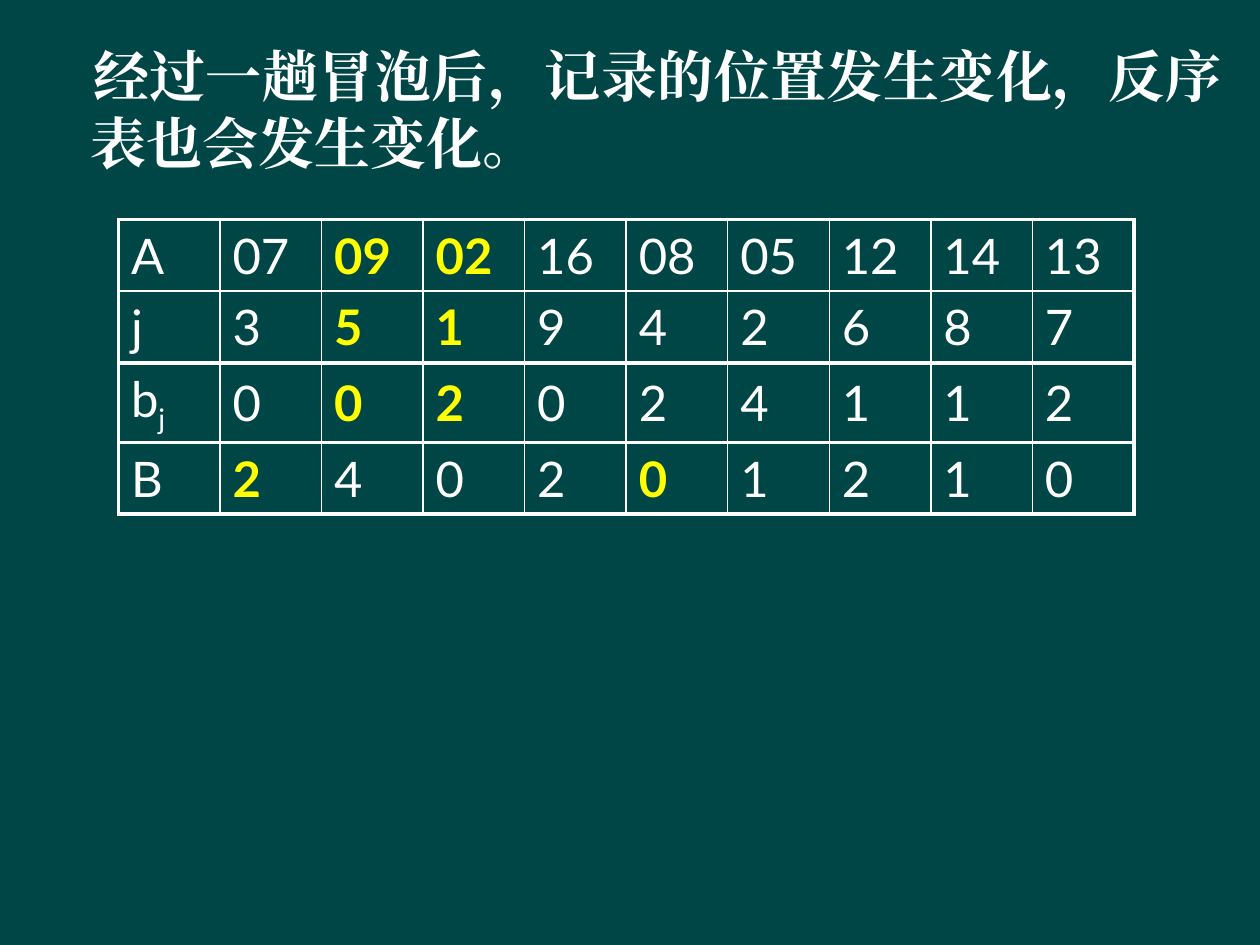
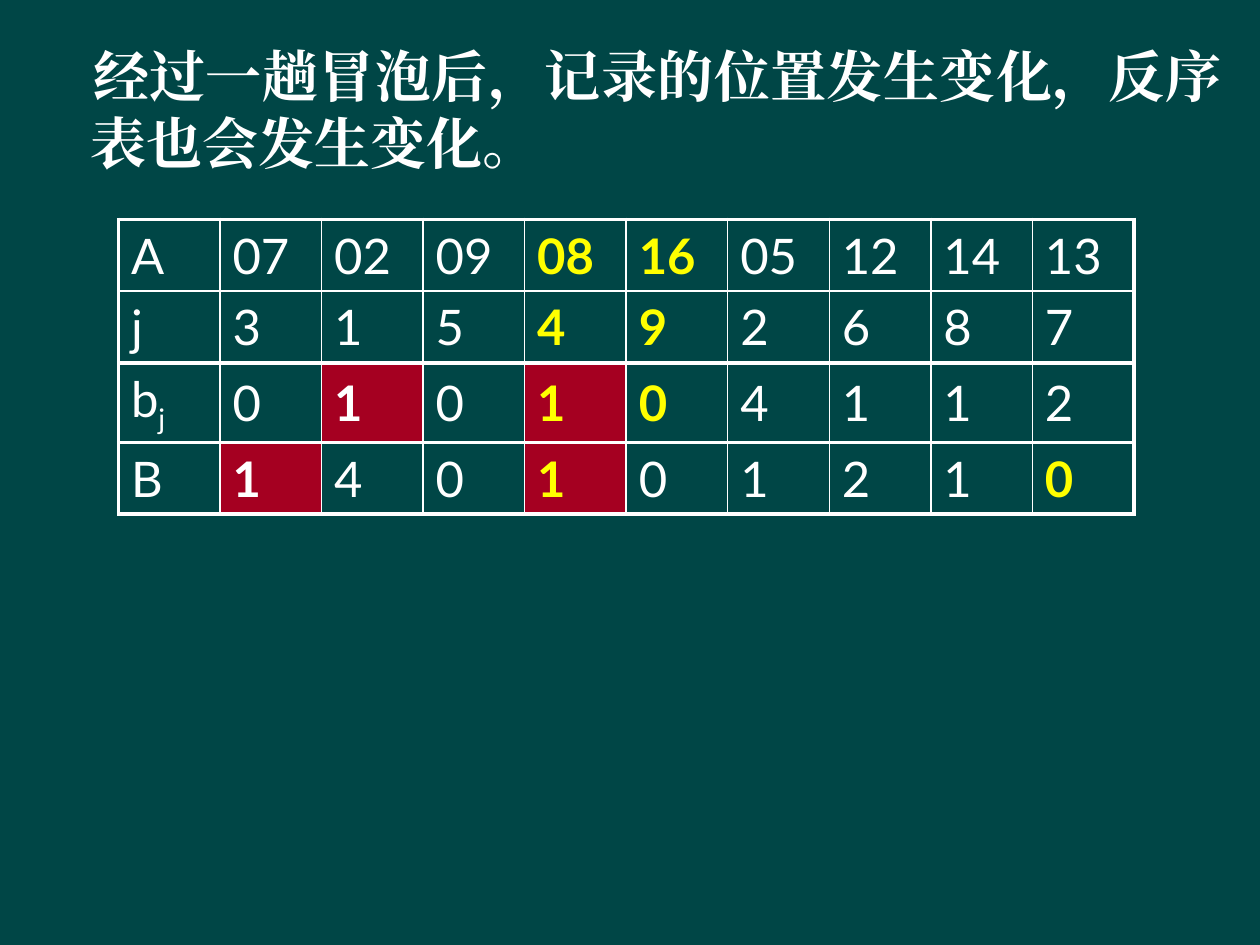
from dataclasses import dataclass

from lxml.etree import SubElement
from pptx import Presentation
from pptx.dml.color import RGBColor
from pptx.enum.text import MSO_ANCHOR as Anchor, PP_ALIGN as Align
from pptx.oxml.ns import qn
from pptx.util import Inches, Pt


@dataclass(frozen=True)
class Theme:
    background: str = "004646"
    text: str = "FFFFFF"
    accent: str = "FFFF00"
    changed: str = "A50021"
    title_font: str = "Times New Roman"
    table_font: str = "Lato"
    title_size: float = 32
    table_size: float = 28
    thin: float = 1
    thick: float = 2.25


# Grid: 100 columns by 75 rows on a 10 by 7.5 inch slide
COLUMNS, ROWS = 100, 75
TITLE_BOX = (2.4, 2.8, 95.6, 68.9)
TABLE_BOX = (9.4, 17.4, 80.6, 22.8)

TITLE = "经过一趟冒泡后，记录的位置发生变化，反序表也会发生变化。"
ROW_LABELS = ["A", "j", "b_j", "B"]

# Values of each pass; highlighted and changed cells are (row, column)
PASSES = [
    {
        "values": [
            "07 09 02 16 08 05 12 14 13",
            "3 5 1 9 4 2 6 8 7",
            "0 0 2 0 2 4 1 1 2",
            "2 4 0 2 0 1 2 1 0",
        ],
        "highlighted": {(0, 2), (0, 3), (1, 2), (1, 3), (2, 2), (2, 3), (3, 1), (3, 5)},
        "changed": set(),
    },
    {
        "values": [
            "07 02 09 08 16 05 12 14 13",
            "3 1 5 4 9 2 6 8 7",
            "0 1 0 1 0 4 1 1 2",
            "1 4 0 1 0 1 2 1 0",
        ],
        "highlighted": {(0, 4), (0, 5), (1, 4), (1, 5), (2, 4), (2, 5), (3, 4), (3, 9)},
        "changed": {(2, 2), (2, 4), (3, 1), (3, 4)},
    },
]


def add_text(paragraph, text, *, font, size, color, bold=False):
    """Write text into a paragraph; what follows an underscore is a subscript."""
    for index, part in enumerate(text.split("_")):
        run = paragraph.add_run()
        run.text = part
        run.font.name = font
        run.font.size = Pt(size)
        run.font.bold = bold
        run.font.color.rgb = RGBColor.from_string(color)
        properties = run.font._element
        SubElement(properties, qn("a:ea"), typeface=font)
        if index:
            properties.set("baseline", "-25000")


def set_borders(cell, color, widths):
    """Draw the left, right, top and bottom borders, widths in points."""
    properties = cell._tc.get_or_add_tcPr()
    for position, (side, width) in enumerate(zip("LRTB", widths)):
        line = SubElement(properties, qn(f"a:ln{side}"), w=str(Pt(width)))
        fill = SubElement(line, qn("a:solidFill"))
        SubElement(fill, qn("a:srgbClr"), val=color)
        properties.insert(position, line)


class Deck:
    def __init__(self, theme):
        self.theme = theme
        self.presentation = Presentation()
        self.presentation.slide_width = Inches(10)
        self.presentation.slide_height = Inches(7.5)
        self.slide = None

    def place(self, box):
        column = self.presentation.slide_width / COLUMNS
        row = self.presentation.slide_height / ROWS
        return [round(length * unit) for length, unit in zip(box, (column, row) * 2)]

    def new_slide(self):
        self.slide = self.presentation.slides.add_slide(self.presentation.slide_layouts[6])
        fill = self.slide.background.fill
        fill.solid()
        fill.fore_color.rgb = RGBColor.from_string(self.theme.background)

    def title(self, text):
        frame = self.slide.shapes.add_textbox(*self.place(TITLE_BOX)).text_frame
        frame.word_wrap = True
        paragraph = frame.paragraphs[0]
        paragraph.alignment = Align.JUSTIFY
        properties = paragraph._p.get_or_add_pPr()
        properties.set("marL", str(Inches(0.38)))
        properties.set("indent", str(Inches(0.02)))
        add_text(paragraph, text, font=self.theme.title_font,
                 size=self.theme.title_size, color=self.theme.text, bold=True)

    def table(self, rows, highlighted, changed):
        theme = self.theme
        row_count, column_count = len(rows), len(rows[0])
        table = self.slide.shapes.add_table(
            row_count, column_count, *self.place(TABLE_BOX)).table
        table.first_row = table.horz_banding = False

        # Only the outer verticals and the line under the first row break the rule
        vertical = [theme.thick] + [theme.thin] * (column_count - 1) + [theme.thick]
        horizontal = [theme.thick] * (row_count + 1)
        horizontal[1] = theme.thin

        for r, row in enumerate(rows):
            for c, text in enumerate(row):
                cell, spot = table.cell(r, c), (r, c)
                cell.vertical_anchor = Anchor.MIDDLE
                if spot in changed:
                    cell.fill.solid()
                    cell.fill.fore_color.rgb = RGBColor.from_string(theme.changed)
                else:
                    cell.fill.background()
                set_borders(cell, theme.text,
                            vertical[c:c + 2] + horizontal[r:r + 2])
                add_text(cell.text_frame.paragraphs[0], text,
                         font=theme.table_font, size=theme.table_size,
                         color=theme.accent if spot in highlighted else theme.text,
                         bold=spot in highlighted | changed)


def main():
    deck = Deck(Theme())
    for sorting_pass in PASSES:
        deck.new_slide()
        deck.title(TITLE)
        rows = [[label, *values.split()]
                for label, values in zip(ROW_LABELS, sorting_pass["values"])]
        deck.table(rows, sorting_pass["highlighted"], sorting_pass["changed"])
    deck.presentation.save("out.pptx")


if __name__ == "__main__":
    main()
